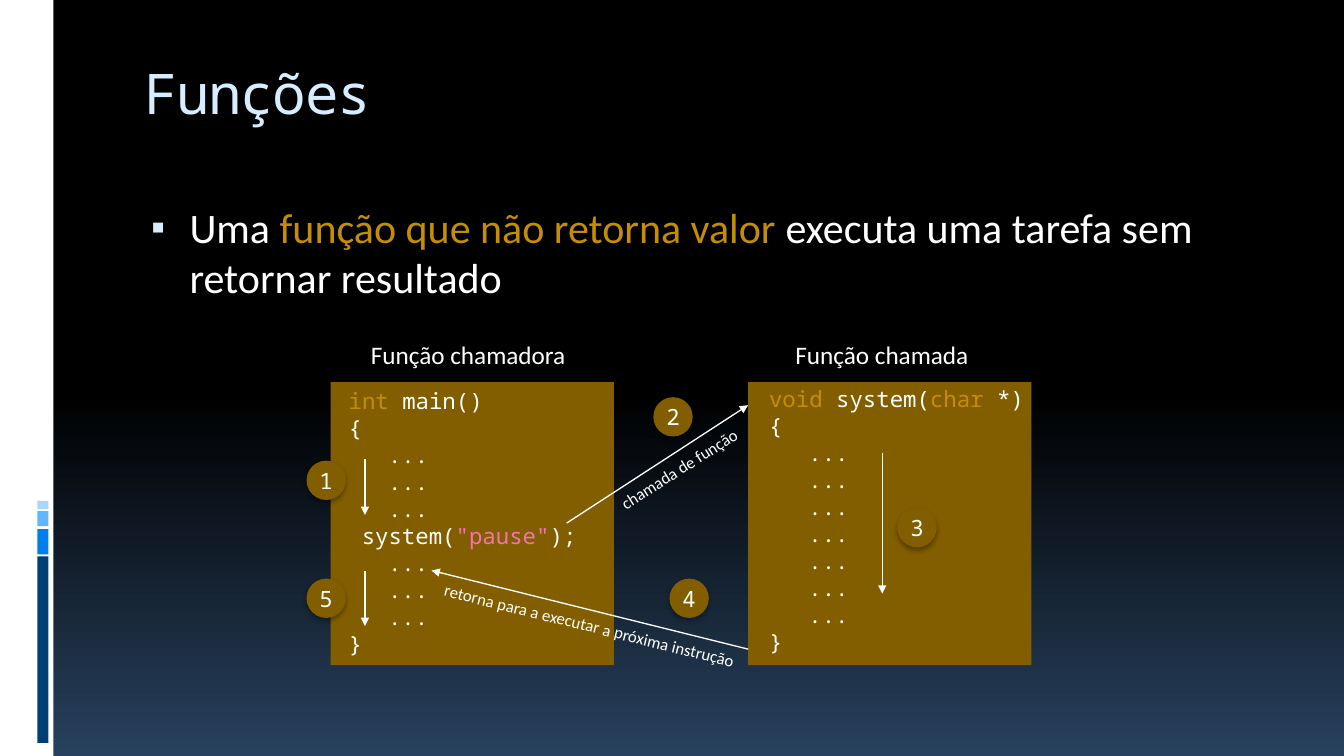
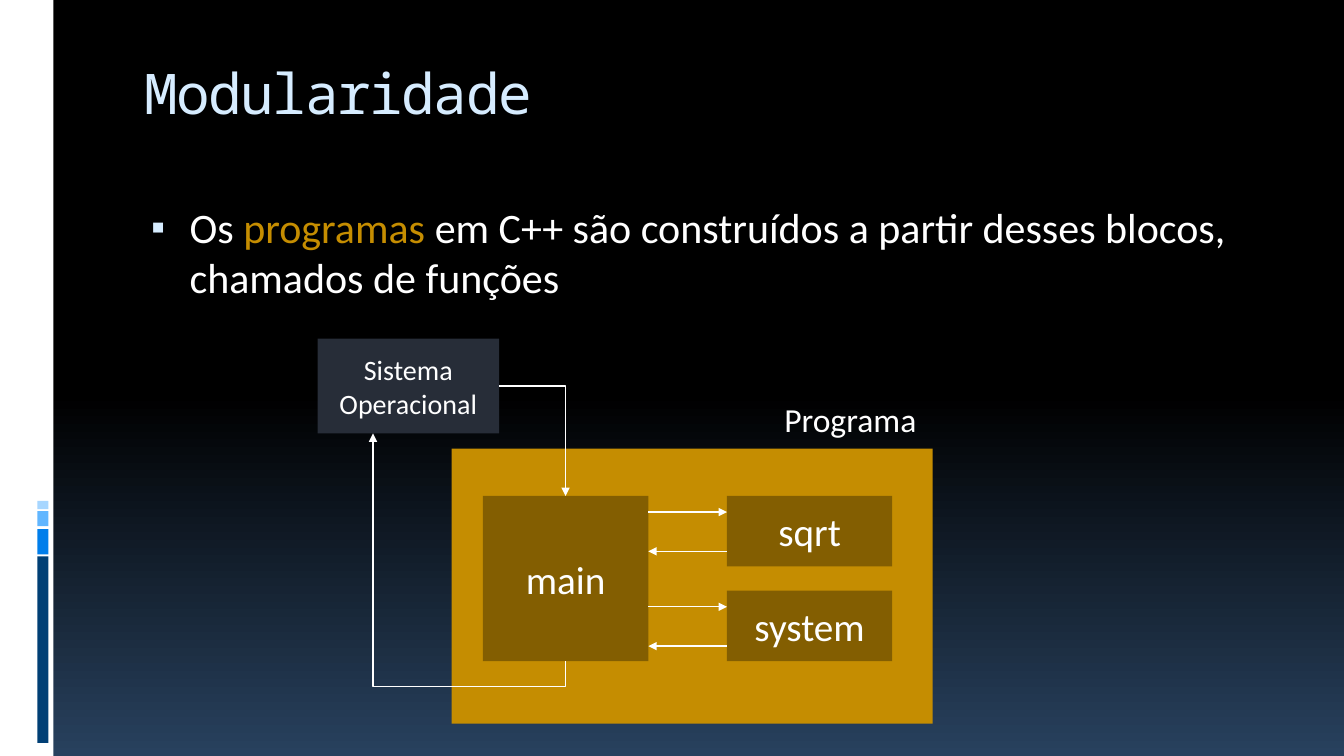
from lxml import etree
from pptx import Presentation
from pptx import util as u
from pptx.dml.color import RGBColor
from pptx.enum import shapes as sh, text as tx
from pptx.oxml import ns

WHITE = RGBColor(0xFF, 0xFF, 0xFF)
BLACK = RGBColor(0x00, 0x00, 0x00)
NAVY = RGBColor(0x28, 0x41, 0x5E)
ICE = RGBColor(0xD6, 0xEC, 0xFF)
GOLD = RGBColor(0xC5, 0x8D, 0x01)
BROWN = RGBColor(0x83, 0x5E, 0x01)
PINK = RGBColor(0xF2, 0x73, 0xAF)
SLATE = RGBColor(0x27, 0x2D, 0x38)

# Side band: left, top, width, height, colour
BAND = [
    (0, 0, 0.53, 7.5, WHITE),
    (0.37, 5.52, 0.11, 1.85, RGBColor(0x00, 0x3F, 0x75)),
    (0.37, 5.25, 0.11, 0.25, RGBColor(0x00, 0x7E, 0xEB)),
    (0.37, 5.07, 0.11, 0.15, RGBColor(0x61, 0xB6, 0xFF)),
    (0.37, 4.97, 0.11, 0.08, RGBColor(0xA7, 0xD6, 0xFF)),
]
SANS, MONO = "Calibri", "Noto Sans Mono"
CHAR = 0.13  # width of one code character, in inches


def sub(node, tag, **attrs):
    return etree.SubElement(node, ns.qn(tag), attrs)


class Deck:
    def __init__(self):
        self.prs = Presentation()
        self.prs.slide_width = u.Inches(13.33)
        self.prs.slide_height = u.Inches(7.5)
        self.slide = None
        fill = self.prs.slide_master.background.fill
        fill.gradient()
        fill.gradient_angle = 270
        for stop, pos, tint in zip(fill.gradient_stops, (0.52, 1), (BLACK, NAVY)):
            stop.position = pos
            stop.color.rgb = tint

    def add(self, title, parts):
        """Start a slide with a title and one bullet."""
        first = self.slide is None
        self.slide = self.prs.slides.add_slide(self.prs.slide_layouts[1])
        if first:
            self.band()
        head = self.slide.shapes.title
        self.place(head, 1.33, 0.56, 11.33, 1)
        frame = head.text_frame
        frame.auto_size = tx.MSO_AUTO_SIZE.NONE
        frame.vertical_anchor = tx.MSO_ANCHOR.TOP
        frame.margin_top = u.Inches(0.02)
        par = frame.paragraphs[0]
        par.alignment = tx.PP_ALIGN.LEFT
        self.fill(par, [(title, ICE)], 40, MONO)
        par.runs[0].font._element.set("spc", "-100")

        body = self.slide.placeholders[1]
        self.place(body, 1.33, 1.95, 11.33, 5)
        body.text_frame.auto_size = tx.MSO_AUTO_SIZE.NONE
        par = body.text_frame.paragraphs[0]
        self.fill(par, parts, 30)
        par.space_before = u.Pt(7)
        self.indent(par, 0.45, -0.38)
        props = par._p.get_or_add_pPr()
        sub(sub(props, "a:buClr"), "a:srgbClr", val=str(ICE))
        sub(props, "a:buSzPct", val="95000")
        sub(props, "a:buChar", char="▪")

    def band(self):
        """Move the side band to the master, so that all slides share it."""
        tree = self.prs.slide_master.shapes.element
        for num, (*at, tint) in enumerate(BAND, 20):
            node = self.box(*at, tint).element
            node.nvSpPr.cNvPr.set("id", str(num))
            tree.append(node)

    def place(self, shape, *at):
        shape.left, shape.top, shape.width, shape.height = map(u.Inches, at)

    def indent(self, par, left, first=0):
        props = par._p.get_or_add_pPr()
        props.set("marL", str(u.Inches(left)))
        props.set("indent", str(u.Inches(first)))

    def fill(self, par, parts, size, face=SANS):
        """Fill a paragraph with (words, colour) runs."""
        for words, tint in parts:
            run = par.add_run()
            run.text = words
            run.font.size = u.Pt(size)
            run.font.name = face
            run.font.color.rgb = tint

    def box(self, x, y, w, h, tint, words="", size=28, face=SANS,
            kind=sh.MSO_SHAPE.RECTANGLE):
        shape = self.slide.shapes.add_shape(kind, *map(u.Inches, (x, y, w, h)))
        shape.shadow.inherit = False
        shape.fill.solid()
        shape.fill.fore_color.rgb = tint
        shape.line.fill.background()
        if words:
            frame = shape.text_frame
            frame.vertical_anchor = tx.MSO_ANCHOR.MIDDLE
            par = frame.paragraphs[0]
            par.alignment = tx.PP_ALIGN.CENTER
            self.fill(par, [(words, WHITE)], size, face)
        return shape

    def badge(self, x, y, num):
        """Numbered circle with a soft shadow."""
        disc = self.box(x, y, 0.39, 0.39, BROWN, str(num), 16, MONO,
                        sh.MSO_SHAPE.OVAL)
        frame = disc.text_frame
        frame.margin_left = frame.margin_right = 0
        frame.margin_top = frame.margin_bottom = 0
        glow = sub(disc.element.spPr.find(ns.qn("a:effectLst")), "a:outerShdw",
                   blurRad=str(u.Pt(3.5)), dist=str(u.Pt(2.2)),
                   dir="5400000", rotWithShape="0")
        sub(sub(glow, "a:srgbClr", val="000000"), "a:alpha", val="32000")

    def label(self, x, y, w, h, words, size, turn=0):
        area = self.slide.shapes.add_textbox(*map(u.Inches, (x, y, w, h)))
        area.rotation = turn
        area.text_frame.word_wrap = False
        area.text_frame.auto_size = tx.MSO_AUTO_SIZE.SHAPE_TO_FIT_TEXT
        self.fill(area.text_frame.paragraphs[0], [(words, WHITE)], size)

    def code(self, x, y, rows):
        """Code listing; each row is an indent in characters and its parts."""
        area = self.slide.shapes.add_textbox(*map(u.Inches, (x, y, 3.52, 2.79)))
        frame = area.text_frame
        frame.word_wrap = True
        for num, (deep, parts) in enumerate(rows):
            par = frame.add_paragraph() if num else frame.paragraphs[0]
            par.line_spacing = u.Pt(19.3)
            self.indent(par, deep * CHAR)
            self.fill(par, parts, 16, MONO)

    def arrow(self, x1, y1, x2, y2, kind=sh.MSO_CONNECTOR.STRAIGHT):
        ends = map(u.Inches, (x1, y1, x2, y2))
        line = self.slide.shapes.add_connector(kind, *ends)
        line.line.color.rgb = WHITE
        line.line.width = u.Pt(0.94)
        sub(line.line._get_or_add_ln(), "a:tailEnd", type="triangle")
        sub(line.element.spPr, "a:effectLst")
        return line

    def elbow(self, x1, y1, x2, y2):
        """Arrow that runs across, then down."""
        line = self.arrow(x1, y1, x2, y2, sh.MSO_CONNECTOR.ELBOW)
        line.element.spPr.find(ns.qn("a:prstGeom")).set("prst", "bentConnector2")

    def loop(self, x1, y1, x2, y2, drop):
        """Arrow that drops below its start, runs left and climbs to its end."""
        mx, my = (x1 + x2) / 2, (y1 + y2) / 2
        dx, dy = (y1 - y2) / 2, (x1 - x2) / 2
        line = self.arrow(mx + dx, my - dy, mx - dx, my + dy,
                          sh.MSO_CONNECTOR.ELBOW)
        props = line.element.spPr
        props.find(ns.qn("a:xfrm")).set("rot", "5400000")
        geom = props.find(ns.qn("a:prstGeom"))
        marks = geom.find(ns.qn("a:avLst"))
        if marks is None:
            marks = sub(geom, "a:avLst")
        bend = round(-drop / (y1 - y2) * 100000)
        sub(marks, "a:gd", name="adj1", fmla=f"val {bend}")


def calls(deck):
    deck.add("Funções", [
        ("Uma ", WHITE), ("função que não retorna valor ", GOLD),
        ("executa uma tarefa sem retornar resultado", WHITE)])

    # Code panels
    for x in (7.42, 3.28):
        deck.box(x, 3.79, 2.81, 2.81, BROWN)
    start, stop = (0, [("{", WHITE)]), (0, [("}", WHITE)])
    dots = (3, [("...", WHITE)])
    deck.code(3.36, 3.79, [
        (0, [("int", GOLD), (" main()", WHITE)]), start, *[dots] * 3,
        (1, [("system(", WHITE), ('"pause"', PINK), (");", WHITE)]),
        *[dots] * 3, stop])
    deck.code(7.53, 3.77, [
        (0, [("void ", GOLD), ("system(", WHITE), ("char", GOLD), (" *)", WHITE)]),
        start, *[dots] * 7, stop])

    # Flow of the call
    for ends in ((8.75, 4.49, 8.75, 5.89), (5.62, 5.19, 7.42, 4.02),
                 (7.42, 6.44, 4.28, 5.66), (3.62, 4.55, 3.62, 5.11),
                 (3.62, 5.66, 3.62, 6.21)):
        deck.arrow(*ends)
    spots = [(3.04, 4.57), (6.48, 3.94), (8.9, 5.04), (6.64, 5.74), (3.04, 5.74)]
    for num, spot in enumerate(spots, 1):
        deck.badge(*spot, num)

    # Labels
    deck.label(5.97, 4.49, 1.56, 0.3, "chamada de função", 12, 327.6)
    deck.label(4.27, 6.06, 3.21, 0.3,
               "retorna para a executar a próxima instrução", 12, 13.9)
    deck.label(3.58, 3.32, 2.2, 0.4, "Função chamadora", 18)
    deck.label(7.79, 3.32, 1.98, 0.4, "Função chamada", 18)


def blocks(deck):
    deck.add("Modularidade", [
        ("Os ", WHITE), ("programas", GOLD),
        (" em C++ são construídos a partir desses blocos, chamados de funções",
         WHITE)])

    # Program and its functions
    deck.box(4.48, 4.45, 4.77, 2.73, GOLD)
    deck.label(7.68, 3.91, 1.59, 0.5, "Programa", 24)
    deck.box(4.79, 4.92, 1.64, 1.64, BROWN, "main")
    for y, name in ((4.92, "sqrt"), (5.86, "system")):
        deck.box(7.21, y, 1.64, 0.7, BROWN, name)
        deck.arrow(6.43, y + 0.16, 7.21, y + 0.16)
        deck.arrow(7.21, y + 0.55, 6.43, y + 0.55)

    # Operating system
    deck.box(3.15, 3.36, 1.8, 0.94, SLATE, "Sistema Operacional", 20)
    deck.elbow(4.95, 3.83, 5.61, 4.92)
    deck.loop(5.61, 6.56, 3.7, 4.3, 0.25)


def main():
    deck = Deck()
    calls(deck)
    blocks(deck)
    deck.prs.save("out.pptx")


if __name__ == "__main__":
    main()
